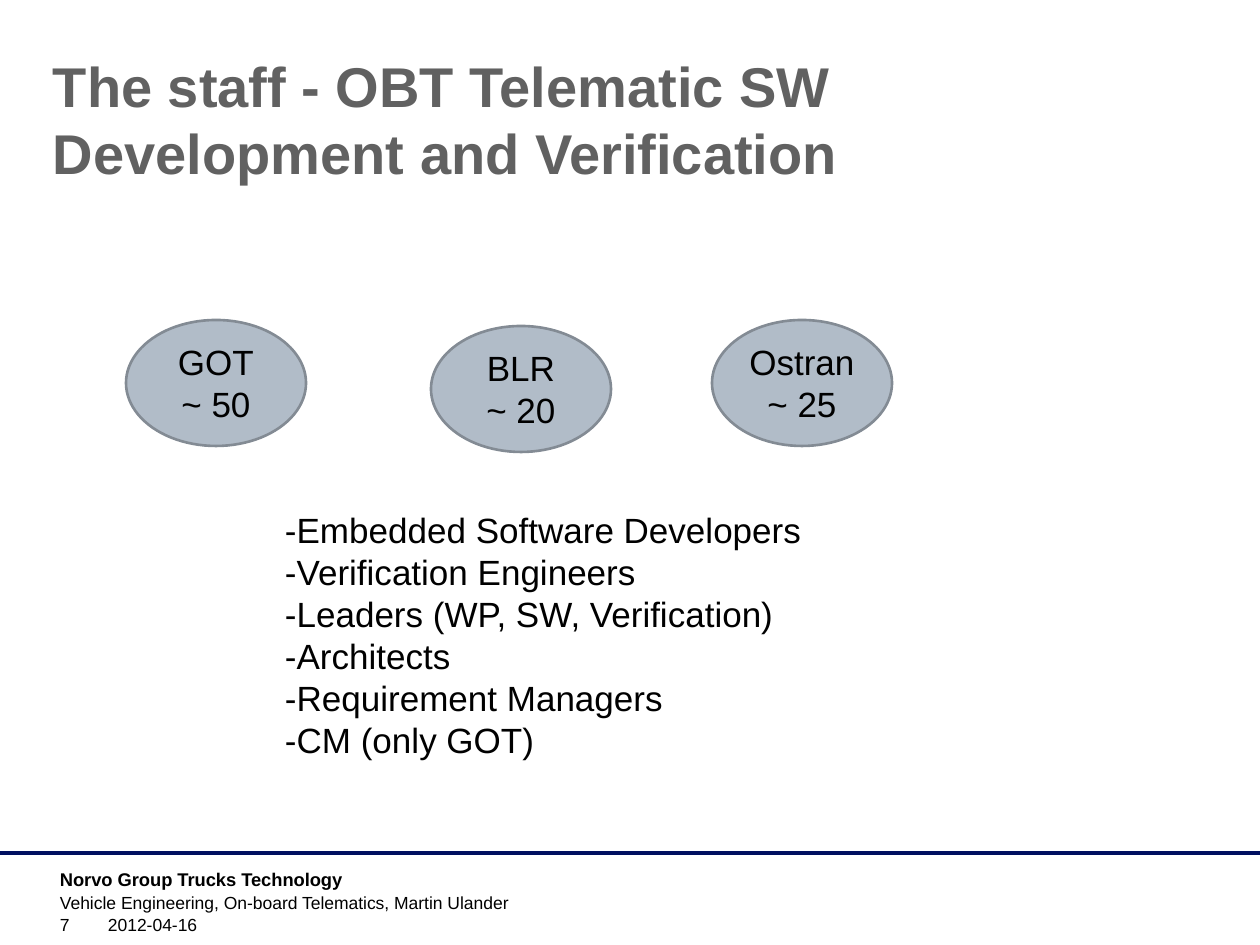
from typing import NamedTuple

from lxml.etree import SubElement
from pptx import Presentation
from pptx.dml.color import RGBColor
from pptx.enum.shapes import MSO_CONNECTOR, MSO_SHAPE
from pptx.enum.text import MSO_ANCHOR as Anchor, PP_ALIGN as Align
from pptx.oxml.ns import qn
from pptx.util import Emu, Pt

PX = 914400 // 126
FONT = "Arial"
LINE_FACTOR = 1.2


class Box(NamedTuple):
    left: int
    top: int
    width: int
    height: int


class Team(NamedTuple):
    site: str
    headcount: str
    left: int
    top: int


class FooterItem(NamedTuple):
    text: str
    box: Box
    size: float = 10
    bold: bool = False
    anchor: Anchor = Anchor.TOP


TEAMS = [
    Team("GOT", "~ 50", 126, 320),
    Team("BLR", "~ 20", 431, 326),
    Team("Ostran", "~ 25", 712, 320),
]
ROLES = [
    "-Embedded Software Developers",
    "-Verification Engineers",
    "-Leaders (WP, SW, Verification)",
    "-Architects",
    "-Requirement Managers",
    "-CM (only GOT)",
]
FOOTER = [
    FooterItem("Norvo Group Trucks Technology", Box(47, 862, 340, 30), 10.5, True),
    FooterItem("Vehicle Engineering, On-board Telematics, Martin Ulander",
               Box(47, 886, 948, 30)),
    FooterItem("7", Box(47, 912, 69, 29), anchor=Anchor.BOTTOM),
    FooterItem("2012-04-16", Box(95, 912, 331, 29), anchor=Anchor.BOTTOM),
]


def px(length: int) -> Emu:
    return Emu(length * PX)


def color(hex_value: str) -> RGBColor:
    return RGBColor.from_string(hex_value)


def write(shape, lines: list[str], *, size: float = 20, ink: str = "000000",
          bold: bool = False, align: Align = Align.LEFT,
          anchor: Anchor = Anchor.TOP, wrap: bool = True,
          spaced: bool = True, side_margin: int = 13) -> None:
    frame = shape.text_frame
    frame.word_wrap = wrap
    frame.vertical_anchor = anchor
    frame.margin_left = frame.margin_right = px(side_margin)
    frame.text = "\n".join(lines)
    for paragraph in frame.paragraphs:
        paragraph.alignment = align
        if spaced:
            paragraph.line_spacing = Pt(size * LINE_FACTOR)
        font = paragraph.font
        font.name, font.size, font.bold = FONT, Pt(size), bold
        font.color.rgb = color(ink)


def add_text(slide, box: Box, lines: list[str], **text_format) -> None:
    write(slide.shapes.add_textbox(*map(px, box)), lines, **text_format)


def add_team(slide, team: Team) -> None:
    oval = slide.shapes.add_shape(
        MSO_SHAPE.OVAL, *map(px, Box(team.left, team.top, 180, 126)))
    oval.shadow.inherit = False
    oval.fill.solid()
    oval.fill.fore_color.rgb = color("B1BCC8")
    oval.line.color.rgb = color("838B94")
    oval.line.width = Pt(1.5)
    write(oval, [team.site, team.headcount], align=Align.CENTER,
          anchor=Anchor.MIDDLE, side_margin=0)


def add_footer(slide) -> None:
    rule = slide.shapes.add_connector(
        MSO_CONNECTOR.STRAIGHT, px(0), px(853), px(1260), px(853))
    rule.line.color.rgb = color("000F60")
    rule.line.width = Pt(2)
    SubElement(rule._element.spPr, qn("a:effectLst"))
    for item in FOOTER:
        add_text(slide, item.box, [item.text], size=item.size, bold=item.bold,
                 anchor=item.anchor, spaced=False)


def main() -> None:
    deck = Presentation()
    deck.slide_width, deck.slide_height = px(1260), px(945)
    slide = deck.slides.add_slide(deck.slide_layouts[6])

    # Footer rule and details
    add_footer(slide)

    # Title
    add_text(slide, Box(40, 45, 1155, 174),
             ["The staff - OBT Telematic SW Development and Verification"],
             size=32, ink="616161", bold=True)

    # Roles
    add_text(slide, Box(272, 502, 546, 267), ROLES, wrap=False)

    # Teams with headcount
    for team in TEAMS:
        add_team(slide, team)

    deck.save("out.pptx")


if __name__ == "__main__":
    main()
